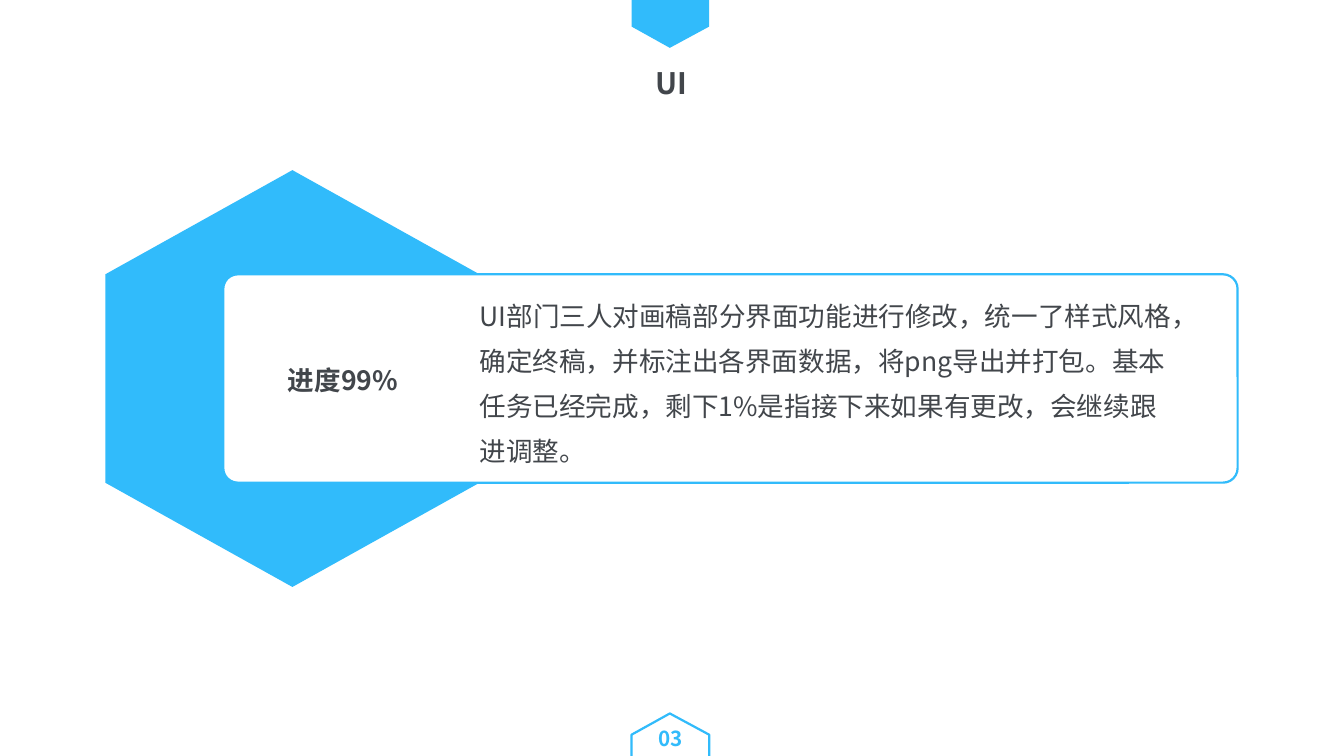
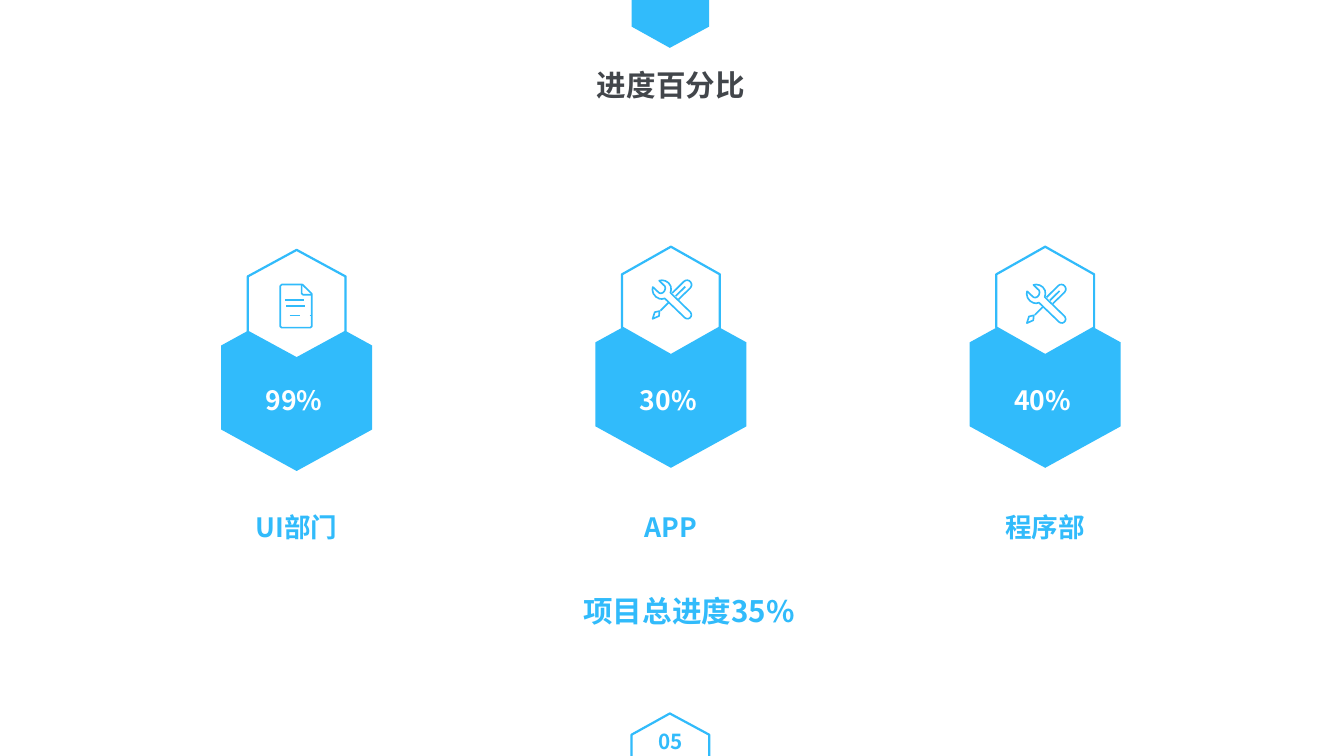
from dataclasses import dataclass
from typing import NamedTuple

from lxml.etree import SubElement as add_sub
from pptx import Presentation as Deck
from pptx.dml.color import RGBColor as Rgb
from pptx.enum.shapes import MSO_SHAPE as Preset
from pptx.enum.text import MSO_AUTO_SIZE as Fit, PP_ALIGN as Align
from pptx.oxml.ns import qn
from pptx.util import Pt

PX = 9144  # one px is a hundredth of an inch
FINE = PX / 10  # icon points are tenths of a px


# Colours, fonts and sizes
@dataclass(frozen=True)
class Theme:
    blue: Rgb = Rgb(0x31, 0xBB, 0xFB)
    dark: Rgb = Rgb(0x42, 0x46, 0x4B)
    white: Rgb = Rgb(0xFF, 0xFF, 0xFF)
    font: str = "Noto Sans CJK SC"
    title: int = 20
    body: int = 18
    page: int = 14
    edge: float = 1.5
    pen: float = 1.1


THEME = Theme()


class Box(NamedTuple):
    x: int
    y: int
    w: int
    h: int


class Stroke(NamedTuple):
    points: list[tuple[int, int]]
    close: bool = False


@dataclass(frozen=True)
class Style:
    size: int
    color: Rgb
    bold: bool = True
    align: Align = Align.CENTER
    lead: float = 1.16
    top: int = 0


@dataclass(frozen=True)
class Frame:
    title: str
    title_y: int
    page: str
    page_y: int


@dataclass(frozen=True)
class Team:
    name: str
    share: str
    top: int
    icon: list[Stroke]
    icon_dx: int
    icon_y: int


# Line icons
SHEET = [
    Stroke([(20, 6), (215, 6), (303, 93), (303, 400), (290, 411),
            (20, 411), (6, 400), (6, 20)], True),
    Stroke([(207, 10), (207, 90), (220, 102), (300, 102)]),
    Stroke([(50, 150), (230, 150)]),
    Stroke([(65, 208), (242, 208)]),
    Stroke([(95, 298), (188, 298)]),
    Stroke([(284, 297), (300, 297)]),
]
TOOLS = [
    # Wrench
    Stroke([(122, 177), (310, 358), (325, 367), (342, 368), (358, 361),
            (369, 347), (373, 330), (365, 308), (176, 124), (182, 95),
            (178, 62), (158, 31), (128, 12), (95, 6), (70, 10),
            (123, 62), (128, 80), (122, 103), (108, 121), (88, 130),
            (70, 126), (10, 70), (6, 95), (15, 132), (40, 163),
            (72, 180), (95, 183)], True),
    # Handle, slot, shaft and blade
    Stroke([(194, 126), (302, 18), (318, 8), (335, 6), (352, 11), (366, 24),
            (374, 42), (373, 60), (362, 80), (251, 187)]),
    Stroke([(225, 156), (315, 66)]),
    Stroke([(156, 218), (82, 292)]),
    Stroke([(8, 369), (28, 307), (73, 296), (68, 343)], True),
]

TEAMS = [
    Team("UI部门", "99%", 235, SHEET, -16, 267),
    Team("APP", "30%", 232, TOOLS, -18, 263),
    Team("程序部", "40%", 232, TOOLS, -18, 267),
]
MID = 631
STEP = 352


def paint(shape, fill: Rgb | None, line: Rgb | None, width: float = THEME.edge) -> None:
    shape.shadow.inherit = False
    if fill is None:
        shape.fill.background()
    else:
        shape.fill.solid()
        shape.fill.fore_color.rgb = fill
    if line is None:
        shape.line.fill.background()
    else:
        shape.line.color.rgb = line
        shape.line.width = Pt(width)


def add_hex(shapes, box: Box, fill: Rgb | None, line: Rgb | None = None) -> None:
    x, y, w, h = box
    right, half, slope = x + w, x + w / 2, h / 4
    pen = shapes.build_freeform(half, y, PX)
    pen.add_line_segments([(right, y + slope), (right, y + h - slope), (half, y + h),
                           (x, y + h - slope), (x, y + slope)])
    paint(pen.convert_to_shape(), fill, line)


def add_icon(shapes, strokes: list[Stroke], x: int, y: int) -> None:
    pen = shapes.build_freeform(*strokes[0].points[0], FINE)
    for i, stroke in enumerate(strokes):
        if i:
            pen.move_to(*stroke.points[0])
        pen.add_line_segments(stroke.points[1:], stroke.close)
    paint(pen.convert_to_shape(x * PX, y * PX), None, THEME.blue, THEME.pen)


def add_text(shapes, box: Box, text: str, style: Style) -> None:
    frame = shapes.add_textbox(*(n * PX for n in box)).text_frame
    frame.word_wrap = True
    frame.auto_size = Fit.SHAPE_TO_FIT_TEXT
    frame.margin_left = frame.margin_right = 0
    frame.margin_top = style.top * PX
    frame.margin_bottom = 5 * PX
    para = frame.paragraphs[0]
    para.alignment = style.align
    para.line_spacing = style.lead
    run = para.add_run()
    run.text = text
    font = run.font
    font.size, font.bold, font.name = Pt(style.size), style.bold, THEME.font
    font.color.rgb = style.color
    # East Asian font
    add_sub(run._r.get_or_add_rPr(), qn("a:ea")).set("typeface", THEME.font)


def add_slide(deck, frame: Frame):
    """Start a blank slide with its tabs, title and page number."""
    shapes = deck.slides.add_slide(deck.slide_layouts[6]).shapes
    add_hex(shapes, Box(594, -36, 73, 81), THEME.blue)
    add_hex(shapes, Box(594, 671, 73, 81), None, THEME.blue)
    add_text(shapes, Box(355, frame.title_y, 552, 44), frame.title,
             Style(THEME.title, THEME.dark))
    add_text(shapes, Box(600, frame.page_y, 61, 32), frame.page,
             Style(THEME.page, THEME.blue))
    return shapes


def draw_status(deck) -> None:
    shapes = add_slide(deck, Frame("UI", 56, "03", 679))
    add_hex(shapes, Box(99, 160, 352, 392), THEME.blue)
    panel = Box(210, 258, 954, 196)
    card = shapes.add_shape(Preset.ROUNDED_RECTANGLE, *(n * PX for n in panel))
    card.adjustments[0] = 0.07
    paint(card, THEME.white, THEME.blue)
    add_text(shapes, Box(254, 338, 137, 40), "进度99%", Style(THEME.body, THEME.dark))
    add_text(shapes, Box(451, 270, 655, 176),
             "UI部门三人对画稿部分界面功能进行修改，统一了样式风格，确定终稿，"
             "并标注出各界面数据，将png导出并打包。基本任务已经完成，"
             "剩下1%是指接下来如果有更改，会继续跟进调整。",
             Style(THEME.body, THEME.dark, False, Align.LEFT, 1.41))


def draw_team(shapes, team: Team, mid: int) -> None:
    pair = shapes.add_group_shape().shapes
    add_hex(pair, Box(mid - 71, team.top + 51, 142, 157), THEME.blue)
    add_hex(pair, Box(mid - 46, team.top, 92, 102), THEME.white, THEME.blue)
    add_icon(shapes, team.icon, mid + team.icon_dx, team.icon_y)
    add_text(shapes, Box(mid - 81, 356, 157, 40), team.share,
             Style(THEME.body, THEME.white))
    add_text(shapes, Box(mid - 109, 476, 218, 40), team.name,
             Style(THEME.body, THEME.blue))


def draw_shares(deck) -> None:
    shapes = add_slide(deck, Frame("进度百分比", 58, "05", 682))
    for i, team in enumerate(TEAMS):
        draw_team(shapes, team, MID + (i - 1) * STEP)
    add_text(shapes, Box(444, 553, 408, 44), "项目总进度35%",
             Style(THEME.title, THEME.blue, lead=1.0, top=5))


def main() -> None:
    deck = Deck()
    deck.slide_width, deck.slide_height = 1264 * PX, 711 * PX
    draw_status(deck)
    draw_shares(deck)
    deck.save("out.pptx")


if __name__ == "__main__":
    main()
